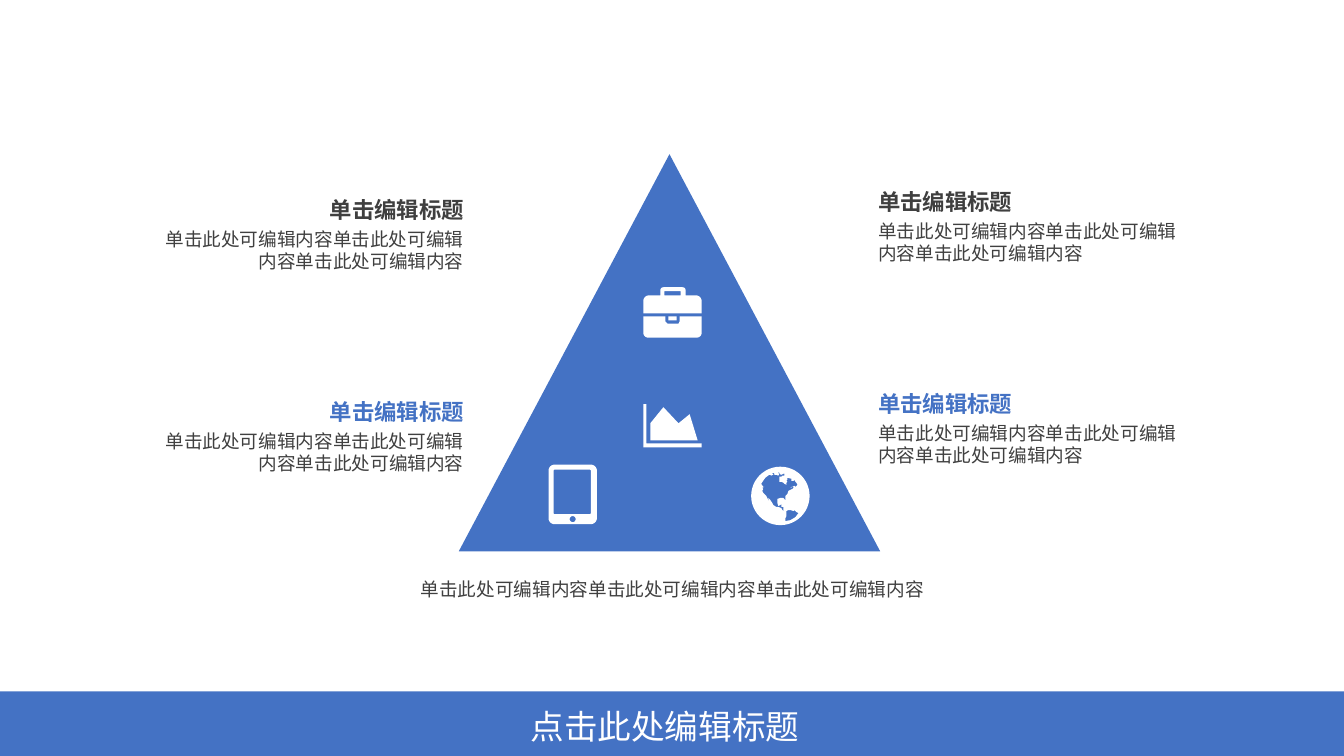
from dataclasses import dataclass
from math import cos, pi, sin

from lxml import etree
from pptx import Presentation
from pptx.dml.color import RGBColor
from pptx.enum.shapes import MSO_SHAPE
from pptx.enum.text import MSO_ANCHOR, PP_ALIGN
from pptx.oxml.ns import qn
from pptx.shapes.autoshape import Shape
from pptx.slide import Slide
from pptx.text.text import TextFrame
from pptx.util import Inches, Pt

TRIANGLE, RECTANGLE = MSO_SHAPE.ISOSCELES_TRIANGLE, MSO_SHAPE.RECTANGLE
LEFT, CENTER, RIGHT = PP_ALIGN.LEFT, PP_ALIGN.CENTER, PP_ALIGN.RIGHT
TOP = MSO_ANCHOR.TOP

Contour = list[tuple[float, float]]


@dataclass(frozen=True)
class Theme:
    font: str = "Noto Sans CJK SC"
    blue: str = "4472C4"
    white: str = "FFFFFF"
    heading: str = "3F3F3F"
    body: str = "404040"
    title_size: float = 24
    heading_size: float = 16
    body_size: float = 13.3
    body_gap: float = 3.2


@dataclass(frozen=True)
class Box:
    left: float
    top: float
    width: float
    height: float


@dataclass(frozen=True)
class Span:
    text: str
    size: float
    color: str
    bold: bool = False
    space_before: float = 0


@dataclass(frozen=True)
class Caption:
    box: Box
    color: str
    align: PP_ALIGN


THEME = Theme()
SENTENCE = "单击此处可编辑内容" * 3
HEADING = "单击编辑标题"
CAPTIONS = [
    Caption(Box(left, top + row * 2, 3.08, 0.76), color, align)
    for left, top, align in ((8.71, 1.87, LEFT), (1.52, 1.95, RIGHT))
    for row, color in enumerate((THEME.heading, THEME.blue))
]

NORTH_AMERICA: Contour = [
    (7.84, 4.84), (7.86, 4.83), (7.88, 4.82), (7.89, 4.83), (7.91, 4.81), (7.90, 4.79),
    (7.89, 4.78), (7.88, 4.76), (7.87, 4.77), (7.85, 4.77), (7.85, 4.75), (7.81, 4.74),
    (7.81, 4.76), (7.80, 4.77), (7.81, 4.78), (7.80, 4.79), (7.80, 4.81), (7.78, 4.80),
    (7.77, 4.79), (7.75, 4.78), (7.73, 4.78), (7.73, 4.73), (7.75, 4.73), (7.76, 4.72),
    (7.78, 4.72), (7.78, 4.70), (7.77, 4.70), (7.75, 4.71), (7.74, 4.70), (7.74, 4.71),
    (7.73, 4.69), (7.71, 4.69), (7.73, 4.70), (7.72, 4.72), (7.70, 4.71), (7.68, 4.71),
    (7.68, 4.70), (7.67, 4.69), (7.63, 4.71), (7.66, 4.70), (7.67, 4.71), (7.65, 4.71),
    (7.66, 4.72), (7.63, 4.71), (7.59, 4.74), (7.55, 4.80), (7.57, 4.83), (7.58, 4.83),
    (7.56, 4.84), (7.57, 4.85), (7.56, 4.87), (7.57, 4.89), (7.60, 4.92), (7.61, 4.94),
    (7.63, 4.98), (7.62, 4.94), (7.64, 4.96), (7.66, 4.99), (7.67, 5.01), (7.70, 5.03),
    (7.72, 5.03), (7.75, 5.04), (7.76, 5.06), (7.79, 5.08), (7.77, 5.06), (7.77, 5.03),
    (7.75, 5.03), (7.75, 5.00), (7.74, 5.01), (7.72, 5.02), (7.71, 4.99), (7.71, 4.95),
    (7.74, 4.94), (7.77, 4.94), (7.78, 4.95), (7.79, 4.97), (7.79, 4.92), (7.81, 4.90),
    (7.82, 4.87), (7.84, 4.86), (7.86, 4.85), (7.87, 4.84), (7.87, 4.83), (7.85, 4.83),
]
SOUTH_AMERICA: Contour = [
    (7.92, 5.09), (7.90, 5.08), (7.88, 5.06), (7.87, 5.07), (7.84, 5.06), (7.82, 5.06),
    (7.80, 5.07), (7.80, 5.12), (7.79, 5.14), (7.79, 5.17), (7.84, 5.16), (7.89, 5.13),
]
CASE_LATCH: Contour = [
    (6.60, 3.14), (6.60, 3.19), (6.62, 3.21), (6.73, 3.21), (6.74, 3.19), (6.74, 3.14),
]
CHART_AXES: Contour = [
    (6.96, 4.44), (6.38, 4.44), (6.38, 4.01), (6.41, 4.01), (6.41, 4.40), (6.96, 4.40),
]
CHART_AREA: Contour = [(6.92, 4.37), (6.45, 4.37), (6.45, 4.20), (6.58, 4.04), (6.73, 4.20), (6.84, 4.11)]


def arc(x: float, y: float, radius: float, start: float, sweep: float, steps: int) -> Contour:
    angles = [start + sweep * step / steps for step in range(steps + 1)]
    return [(x + radius * cos(angle), y + radius * sin(angle)) for angle in angles]


def circle(x: float, y: float, radius: float) -> Contour:
    return arc(x, y, radius, 0, 2 * pi, 48)


def rounded(left: float, top: float, right: float, bottom: float, radius: float = 0) -> Contour:
    centers = (
        (right - radius, bottom - radius), (left + radius, bottom - radius),
        (left + radius, top + radius), (right - radius, top + radius),
    )
    return [
        point
        for quarter, (x, y) in enumerate(centers)
        for point in arc(x, y, radius, quarter * pi / 2, pi / 2, 8)
    ]


def case_lid() -> Contour:
    return [
        (6.96, 3.11), (6.38, 3.11), *arc(6.44, 2.99, 0.06, pi, pi / 2, 8),
        (6.55, 2.93), *arc(6.58, 2.88, 0.03, pi, pi / 2, 8),
        *arc(6.77, 2.88, 0.03, -pi / 2, pi / 2, 8), (6.80, 2.93),
        *arc(6.90, 2.99, 0.06, -pi / 2, pi / 2, 8),
    ]


def case_base() -> Contour:
    return [
        (6.38, 3.14), *CASE_LATCH, (6.96, 3.14),
        *arc(6.91, 3.30, 0.05, 0, pi / 2, 8), *arc(6.43, 3.30, 0.05, pi / 2, pi / 2, 8),
    ]


def paint(shape: Shape, color: str) -> None:
    shape.shadow.inherit = False
    shape.fill.solid()
    shape.fill.fore_color.rgb = RGBColor.from_string(color)
    shape.line.fill.background()


def add_block(page: Slide, kind: MSO_SHAPE, box: Box) -> None:
    block = page.shapes.add_shape(
        kind, Inches(box.left), Inches(box.top), Inches(box.width), Inches(box.height))
    paint(block, THEME.blue)


def add_icon(page: Slide, contours: list[Contour]) -> None:
    outlines = [[(Inches(x), Inches(y)) for x, y in contour] for contour in contours]
    builder = page.shapes.build_freeform(*outlines[0][0])
    for index, outline in enumerate(outlines):
        if index:
            builder.move_to(*outline[0])
        builder.add_line_segments(outline[1:], close=True)
    paint(builder.convert_to_shape(), THEME.white)


def add_paragraph(frame: TextFrame, index: int, span: Span, align: PP_ALIGN) -> None:
    para = frame.add_paragraph() if index else frame.paragraphs[0]
    para.alignment = align
    if index:
        para.space_before = Pt(span.space_before)
    run = para.add_run()
    run.text = span.text
    run.font.size = Pt(span.size)
    run.font.bold = span.bold
    run.font.color.rgb = RGBColor.from_string(span.color)
    run.font.name = THEME.font
    etree.SubElement(run.font._element, qn("a:ea"), typeface=THEME.font)


def add_text(page: Slide, box: Box, spans: list[Span], align: PP_ALIGN) -> None:
    shape = page.shapes.add_textbox(
        Inches(box.left), Inches(box.top), Inches(box.width), Inches(box.height))
    frame = shape.text_frame
    frame.word_wrap = True
    frame.vertical_anchor = TOP
    frame.margin_left = frame.margin_right = frame.margin_top = frame.margin_bottom = 0
    for index, span in enumerate(spans):
        add_paragraph(frame, index, span, align)


def main() -> None:
    deck = Presentation()
    deck.slide_width, deck.slide_height = Inches(13.33), Inches(7.5)
    page = deck.slides.add_slide(deck.slide_layouts[6])

    add_block(page, TRIANGLE, Box(4.55, 1.53, 4.18, 3.94))
    tablet = [rounded(5.44, 4.61, 5.92, 5.20, 0.06), rounded(5.49, 4.66, 5.86, 5.10, 0.01), circle(5.68, 5.15, 0.03)]
    globe = [circle(7.74, 4.92, 0.29), NORTH_AMERICA, SOUTH_AMERICA]
    briefcase = [case_lid(), case_base(), rounded(6.59, 2.89, 6.75, 2.93), rounded(6.63, 3.14, 6.71, 3.18)]
    for icon in (tablet, globe, [CHART_AXES, CHART_AREA], briefcase):
        add_icon(page, icon)

    body = Span(SENTENCE, THEME.body_size, THEME.body, space_before=THEME.body_gap)
    add_text(page, Box(4.1, 5.73, 5.14, 0.22), [body], CENTER)
    for caption in CAPTIONS:
        heading = Span(HEADING, THEME.heading_size, caption.color, bold=True)
        add_text(page, caption.box, [heading, body], caption.align)

    add_block(page, RECTANGLE, Box(0, 6.86, 13.33, 0.67))
    title = Span("点击此处编辑标题", THEME.title_size, THEME.white)
    add_text(page, Box(4.59, 7, 4.01, 0.4), [title], CENTER)
    deck.save("out.pptx")


if __name__ == "__main__":
    main()
